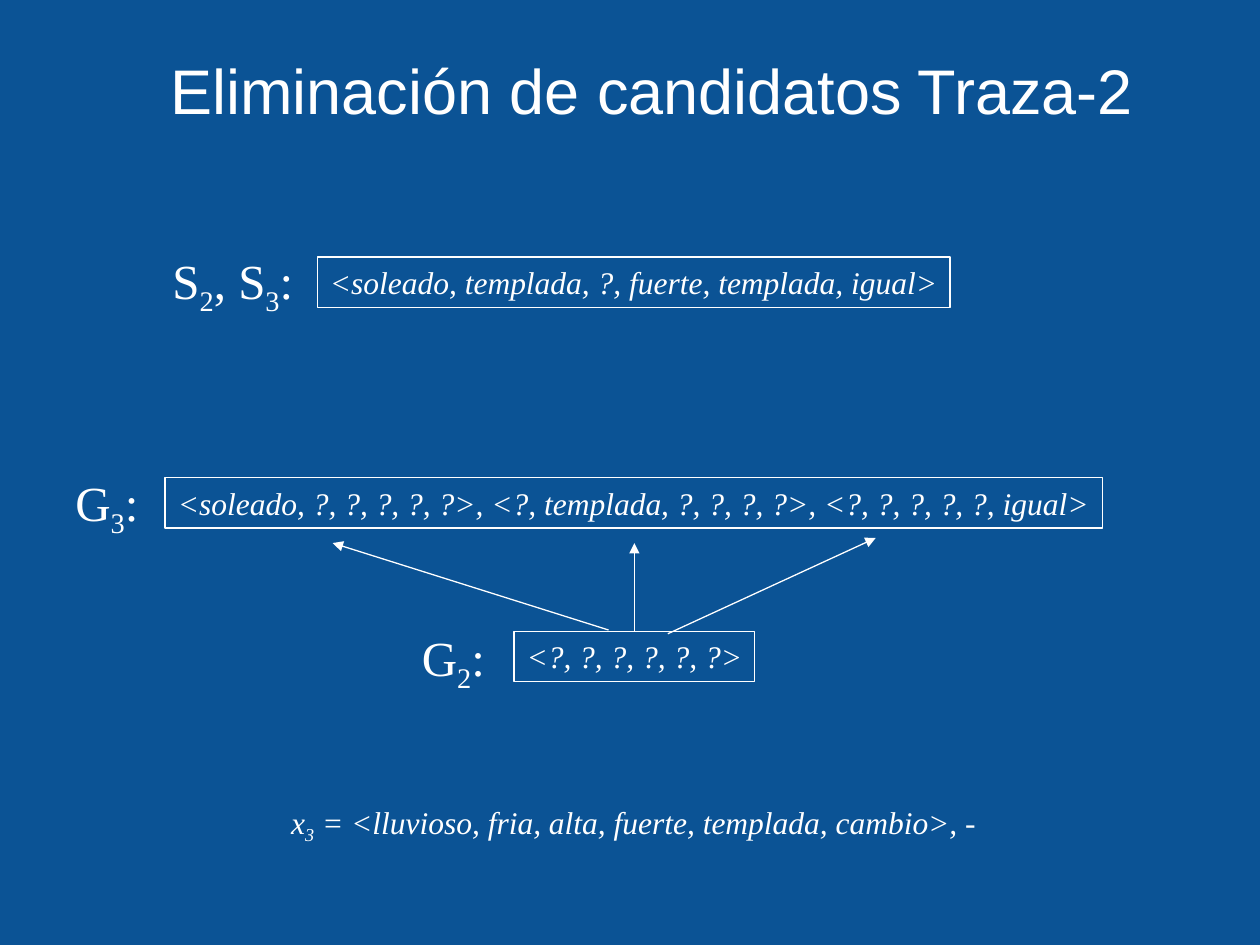
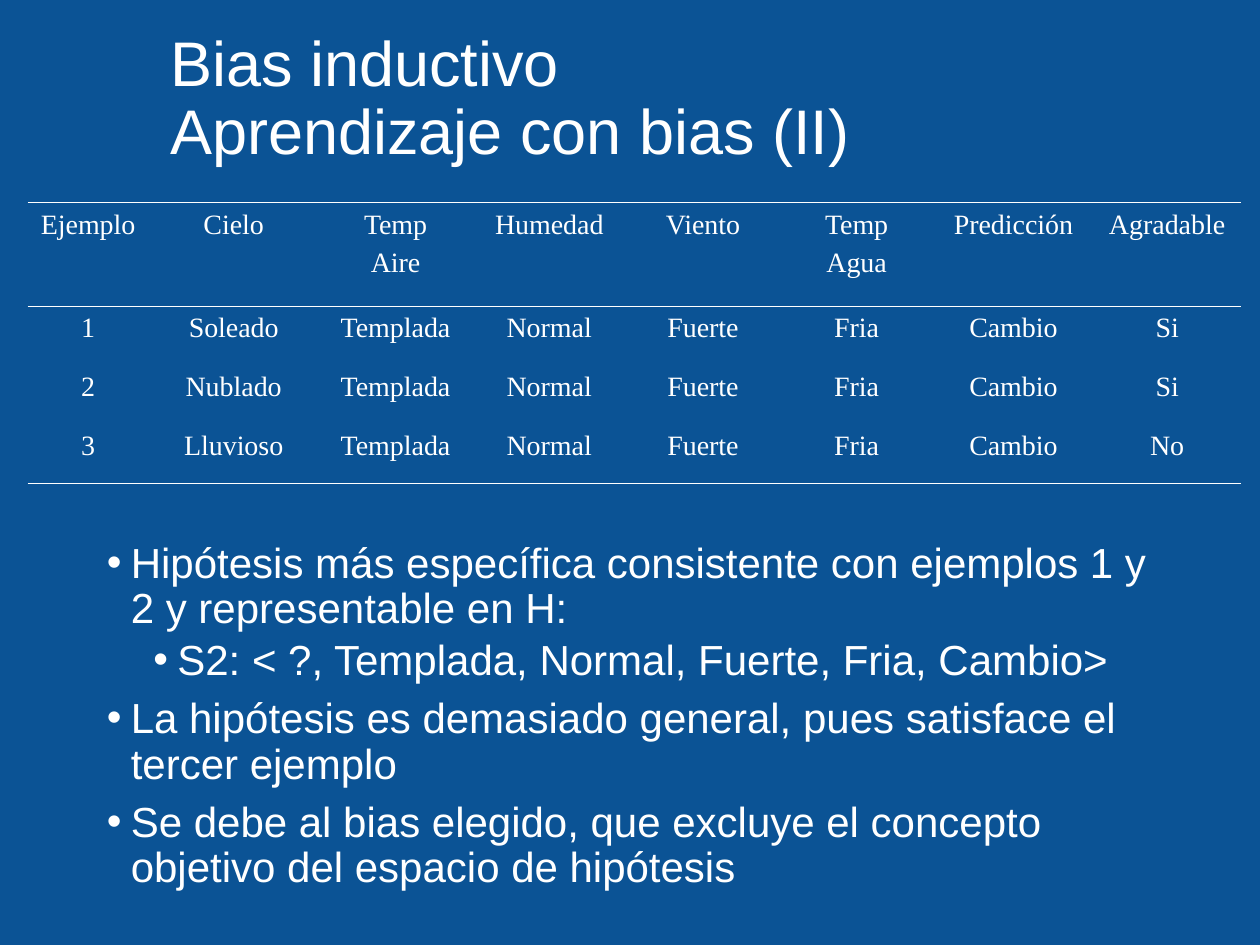
from lxml import etree
from pptx import Presentation
from pptx.dml.color import RGBColor
from pptx.enum.shapes import MSO_CONNECTOR, MSO_SHAPE
from pptx.enum.text import MSO_ANCHOR, MSO_AUTO_SIZE, PP_ALIGN
from pptx.oxml.ns import qn
from pptx.util import Inches, Pt

RECTANGLE = MSO_SHAPE.RECTANGLE
STRAIGHT = MSO_CONNECTOR.STRAIGHT
MIDDLE, TOP = MSO_ANCHOR.MIDDLE, MSO_ANCHOR.TOP
LEFT, CENTER = PP_ALIGN.LEFT, PP_ALIGN.CENTER
NO_AUTOFIT = MSO_AUTO_SIZE.NONE

BLUE, WHITE = "0B5395", "FFFFFF"
TITLE = {"name": "Arial", "size": Pt(36)}
BODY = {"name": "Arial", "size": Pt(24)}
LABEL = {"name": "Times New Roman", "size": Pt(28)}
HYPOTHESIS = {"name": "Times New Roman", "size": Pt(18), "italic": True}
CELL = {"name": "Times New Roman", "size": Pt(16)}


def color(hex_value):
    return RGBColor.from_string(hex_value)


def write(para, text, style):
    """Add styled text; the character after each underscore is a subscript."""
    first, *others = text.split("_")
    pieces = [(first, False)]
    for part in others:
        pieces += [(part[0], True), (part[1:], False)]
    for piece, lowered in pieces:
        if not piece:
            continue
        span = para.add_run()
        span.text = piece
        span.font.color.rgb = color(WHITE)
        for key, value in style.items():
            setattr(span.font, key, value)
        if lowered:
            span._r.get_or_add_rPr().set("baseline", "-25000")


deck = Presentation()
deck.slide_width, deck.slide_height = Inches(10), Inches(7.5)
background = deck.slide_master.background.fill
background.solid()
background.fore_color.rgb = color(BLUE)

# Pages and titles
titles = [
    (["Eliminación de candidatos Traza-2"], 0.25, 1),
    (["Bias inductivo", "Aprendizaje con bias (II)"], 0.17, 1.25),
]
pages = []
for lines, top, height in titles:
    page = deck.slides.add_slide(deck.slide_layouts[5])
    title = page.shapes.title
    title.left, title.top = Inches(1.25), Inches(top)
    title.width, title.height = Inches(8.5), Inches(height)
    frame = title.text_frame
    frame.auto_size, frame.vertical_anchor = NO_AUTOFIT, MIDDLE
    para = frame.paragraphs[0]
    para.alignment, para.line_spacing = LEFT, 0.9
    for number, line in enumerate(lines):
        if number:
            para.add_line_break()
        write(para, line, TITLE)
    pages.append(page)
trace_page, bias_page = pages

# Trace: set labels and the new example
texts = [
    ("S_2, S_3:", 1.27, 1.94, 1.16, 0.63, LABEL, TOP, 0.1),
    ("G_3:", 0.5, 3.7, 0.7, 0.63, LABEL, TOP, 0.1),
    ("G_2:", 3.25, 4.93, 0.7, 0.63, LABEL, TOP, 0.1),
    ("x_3 = <lluvioso, fria, alta, fuerte, templada, cambio>, -",
     2.29, 6.32, 5.48, 0.44, HYPOTHESIS, MIDDLE, 0.02),
]
for text, left, top, width, height, style, anchor, inset in texts:
    box = trace_page.shapes.add_textbox(
        Inches(left), Inches(top), Inches(width), Inches(height))
    frame = box.text_frame
    frame.word_wrap, frame.vertical_anchor = False, anchor
    frame.margin_left = frame.margin_right = Inches(inset)
    write(frame.paragraphs[0], text, style)

# Trace: framed hypotheses
hypotheses = [
    ("<soleado, templada, ?, fuerte, templada, igual>", 2.52, 2.04, 5.02),
    ("<soleado, ?, ?, ?, ?, ?>, <?, templada, ?, ?, ?, ?>, <?, ?, ?, ?, ?, igual>",
     1.31, 3.79, 7.44),
    ("<?, ?, ?, ?, ?, ?>", 4.08, 5.01, 1.91),
]
for text, left, top, width in hypotheses:
    box = trace_page.shapes.add_shape(
        RECTANGLE, Inches(left), Inches(top), Inches(width), Inches(0.4))
    box.shadow.inherit = False
    box.fill.background()
    box.line.color.rgb, box.line.width = color(WHITE), Pt(0.75)
    frame = box.text_frame
    frame.word_wrap, frame.vertical_anchor = False, TOP
    frame.paragraphs[0].alignment = CENTER
    write(frame.paragraphs[0], text, HYPOTHESIS)
general_box = box

# Trace: arrows from G2 up to each member of G3
arrows = [
    (4.83, 5, 2.64, 4.31, False),
    (5.03, 5, 5.03, 4.31, True),
    (5.3, 5.03, 6.95, 4.27, False),
]
for start_x, start_y, end_x, end_y, joined in arrows:
    arrow = trace_page.shapes.add_connector(
        STRAIGHT, Inches(start_x), Inches(start_y), Inches(end_x), Inches(end_y))
    if joined:
        arrow.begin_connect(general_box, 0)
        arrow.end_x = arrow.begin_x
    arrow.line.color.rgb, arrow.line.width = color(WHITE), Pt(0.75)
    etree.SubElement(arrow.line._get_or_add_ln(), qn("a:tailEnd"), type="triangle")
    etree.SubElement(arrow._element.spPr, qn("a:effectLst"))

# Bias: table of examples
rows = [
    ["Ejemplo", "Cielo", "Temp\nAire", "Humedad", "Viento", "Temp\nAgua",
     "Predicción", "Agradable"],
]
for number, (sky, pleasant) in enumerate(
        [("Soleado", "Si"), ("Nublado", "Si"), ("Lluvioso", "No")], start=1):
    rows.append([str(number), sky, "Templada", "Normal", "Fuerte", "Fria",
                 "Cambio", pleasant])
widths = [0.96, 1.35, 1.22, 1.22, 1.22, 1.22, 1.27, 1.17]
heights = [0.82, 0.47, 0.47, 0.47]
table = bias_page.shapes.add_table(
    len(rows), len(widths), Inches(0.22), Inches(1.61),
    Inches(sum(widths)), Inches(sum(heights))).table
table.first_row = table.horz_banding = False
for column, width in zip(table.columns, widths):
    column.width = Inches(width)
for row, height in zip(table.rows, heights):
    row.height = Inches(height)

ruled_sides = {0: ["lnT", "lnB"], 1: ["lnT"], len(rows) - 1: ["lnB"]}
for row_number, row in enumerate(rows):
    for column_number, text in enumerate(row):
        cell = table.cell(row_number, column_number)
        properties = cell._tc.get_or_add_tcPr()
        for side in ("lnL", "lnR", "lnT", "lnB"):
            border = etree.SubElement(properties, qn("a:" + side), w=str(Pt(0.45)))
            if side in ruled_sides.get(row_number, []):
                fill = etree.SubElement(border, qn("a:solidFill"))
                etree.SubElement(fill, qn("a:srgbClr"), val=WHITE)
            else:
                etree.SubElement(border, qn("a:noFill"))
        cell.fill.background()
        frame = cell.text_frame
        for number, line in enumerate(text.split("\n")):
            para = frame.add_paragraph() if number else frame.paragraphs[0]
            para.alignment = CENTER
            if number:
                para.space_before = Pt(4)
            write(para, line, CELL)

# Bias: conclusions
conclusions = [
    (0, "Hipótesis más específica consistente con ejemplos 1 y 2 y representable en H:"),
    (1, "S2: < ?, Templada, Normal, Fuerte, Fria, Cambio>"),
    (0, "La hipótesis es demasiado general, pues satisface el tercer ejemplo"),
    (0, "Se debe al bias elegido, que excluye el concepto objetivo del espacio de hipótesis"),
]
indents, gaps = [0.19, 0.56], [7.5, 3.7]
box = bias_page.shapes.add_textbox(
    Inches(0.75), Inches(4.25), Inches(8.5), Inches(2.91))
frame = box.text_frame
frame.word_wrap = True
for number, (level, text) in enumerate(conclusions):
    para = frame.add_paragraph() if number else frame.paragraphs[0]
    properties = para._p.get_or_add_pPr()
    properties.set("marL", str(Inches(indents[level])))
    properties.set("indent", str(-Inches(0.19)))
    bullet_color = etree.SubElement(properties, qn("a:buClr"))
    etree.SubElement(bullet_color, qn("a:srgbClr"), val=WHITE)
    etree.SubElement(properties, qn("a:buFont"), typeface="Arial")
    etree.SubElement(properties, qn("a:buChar"), char="•")
    para.level, para.line_spacing = level, 0.9
    if number:
        para.space_before = Pt(gaps[level])
    write(para, text, BODY)

deck.save("out.pptx")
